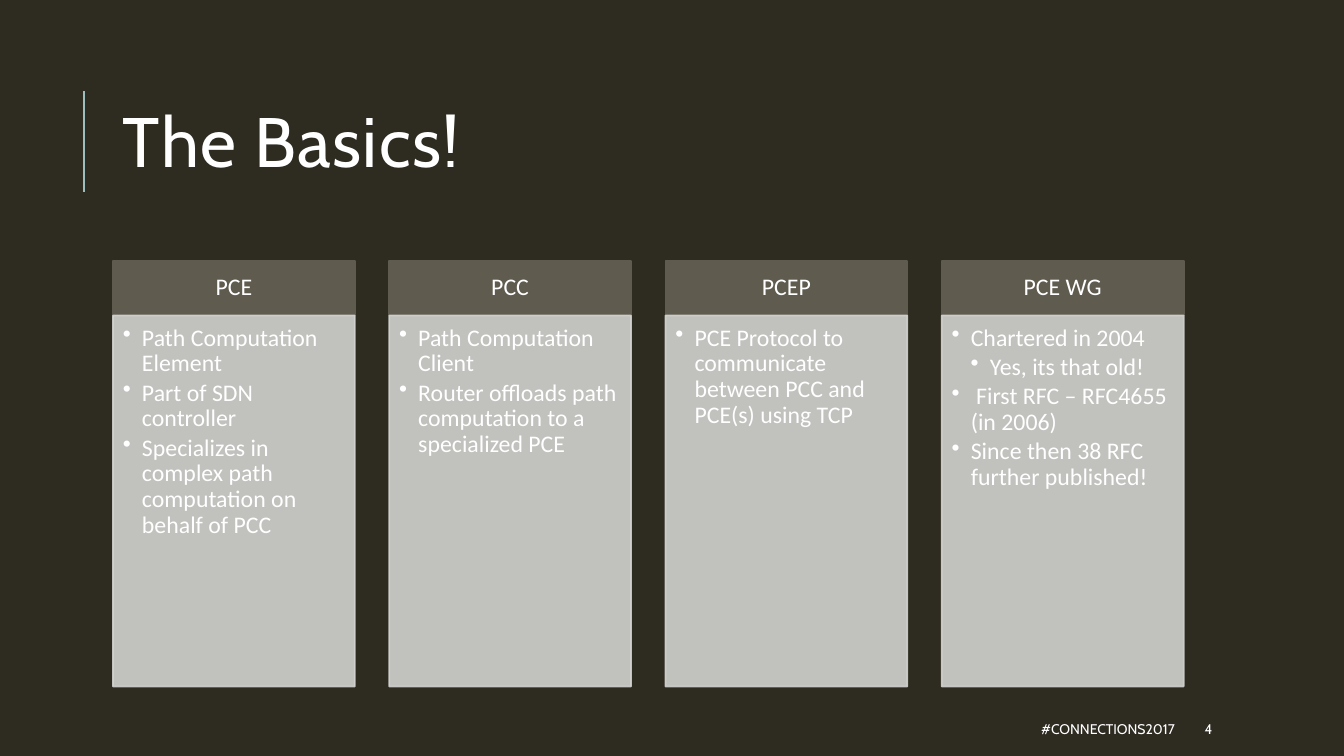
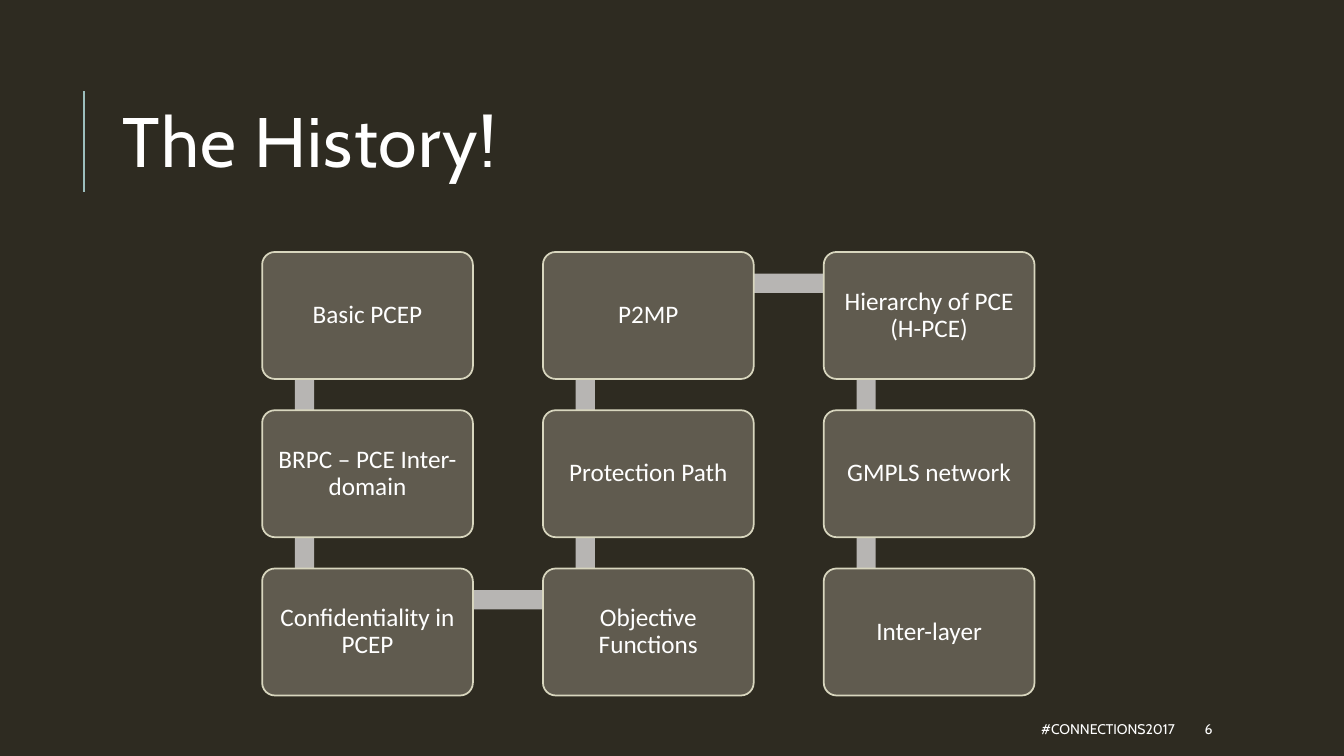
from dataclasses import dataclass
from itertools import pairwise

from lxml.etree import SubElement
from pptx import Presentation
from pptx.dml.color import RGBColor
from pptx.enum.shapes import MSO_CONNECTOR, MSO_SHAPE as Shape
from pptx.enum.text import MSO_ANCHOR as Anchor, PP_ALIGN as Align
from pptx.oxml.ns import qn
from pptx.util import Inches, Pt


@dataclass(frozen=True)
class Theme:
    background: str = "2E2B21"
    accent: str = "9CBEBD"
    text: str = "FFFFFF"
    box: str = "605B4F"
    box_edge: str = "D8D6BE"
    panel: str = "D2D2D0"
    link: str = "B7B5B3"
    heading_font: str = "Cabin"
    body_font: str = "Calibri"
    title_size: float = 50
    column_size: float = 17
    stage_size: float = 18
    footer_size: float = 10
    edge_width: float = 1.25


THEME = Theme()

# Content
FOOTER = "#CONNECTIONS2017"

BASICS = {"title": "The Basics!", "number": 4}
# Column heading, then (indent level, bullet)
COLUMNS = [
    ("PCE", [(1, "Path Computation Element"),
             (1, "Part of SDN controller"),
             (1, "Specializes in complex path computation on behalf of PCC")]),
    ("PCC", [(1, "Path Computation Client"),
             (1, "Router offloads path computation to a specialized PCE")]),
    ("PCEP", [(1, "PCE Protocol to communicate between PCC and PCE(s) using TCP")]),
    ("PCE WG", [(1, "Chartered in 2004"),
                (2, "Yes, its that old!"),
                (1, " First RFC – RFC4655 (in 2006)"),
                (1, "Since then 38 RFC further published!")]),
]

HISTORY = {"title": "The History!", "number": 6}
# In order of time: down the first column, up the second, down the third
STAGES = ["Basic PCEP", "BRPC – PCE Inter-domain", "Confidentiality in PCEP",
          "Objective Functions", "Protection Path", "P2MP",
          "Hierarchy of PCE (H-PCE)", "GMPLS network", "Inter-layer"]


# Drawing helpers
def rgb(value):
    return RGBColor.from_string(value)


def set_opacity(shape, percent):
    for color in shape.element.spPr.iter(qn("a:srgbClr")):
        SubElement(color, qn("a:alpha"), val=str(percent * 1000))


def add_bullet(paragraph, level):
    paragraph.level = level
    props = paragraph._p.get_or_add_pPr()
    props.set("marL", str(Inches(0.19 * level)))
    props.set("indent", str(Inches(-0.19)))
    SubElement(props, qn("a:buChar"), char="•")


def write(shape, content, *, size, font=THEME.body_font, align=Align.LEFT,
          anchor=Anchor.MIDDLE, insets=(0.1, 0.05, 0.1, 0.05),
          line_spacing=0.9, space_after=0, tracking=0):
    """Fill a shape with a string, or with (level, text) bullets."""
    frame = shape.text_frame
    frame.word_wrap = True
    frame.vertical_anchor = anchor
    (frame.margin_left, frame.margin_top,
     frame.margin_right, frame.margin_bottom) = map(Inches, insets)
    items = [(0, content)] if isinstance(content, str) else content
    for index, (level, words) in enumerate(items):
        paragraph = frame.add_paragraph() if index else frame.paragraphs[0]
        if level:
            add_bullet(paragraph, level)
        paragraph.alignment = align
        paragraph.line_spacing = line_spacing
        paragraph.space_after = Pt(space_after)
        run = paragraph.add_run()
        run.text = words
        run.font.size = Pt(size)
        run.font.name = font
        run.font.color.rgb = rgb(THEME.text)
        if tracking:
            run._r.get_or_add_rPr().set("spc", str(tracking * 100))


def add_text(slide, content, area, **style):
    write(slide.shapes.add_textbox(*map(Inches, area)), content, **style)


def add_block(slide, area, fill, edge=None, kind=Shape.RECTANGLE):
    block = slide.shapes.add_shape(kind, *map(Inches, area))
    block.shadow.inherit = False
    block.fill.solid()
    block.fill.fore_color.rgb = rgb(fill)
    if edge:
        block.line.color.rgb = rgb(edge)
        block.line.width = Pt(THEME.edge_width)
    else:
        block.line.fill.background()
    return block


def add_base_slide(deck, title, number):
    """Background, title with its rule, and footer."""
    slide = deck.slides.add_slide(deck.slide_layouts[6])
    slide.background.fill.solid()
    slide.background.fill.fore_color.rgb = rgb(THEME.background)
    rule = slide.shapes.add_connector(
        MSO_CONNECTOR.STRAIGHT, *map(Inches, (0.83, 1.9, 0.83, 0.9)))
    rule.line.color.rgb = rgb(THEME.accent)
    rule.line.width = Pt(1.5)
    SubElement(rule.element.spPr, qn("a:effectLst"))
    add_text(slide, title, (1.12, 0.64, 10.63, 1.64), size=THEME.title_size,
             font=THEME.heading_font, line_spacing=0.8, tracking=1)
    footer = dict(size=THEME.footer_size, font=THEME.heading_font, line_spacing=1)
    add_text(slide, FOOTER, (5.3, 7.08, 6.45, 0.3), align=Align.RIGHT, **footer)
    add_text(slide, str(number), (11.85, 7.08, 1.06, 0.3), **footer)
    return slide


# Four columns, each a heading over a panel of bullets
def build_basics(deck):
    slide = add_base_slide(deck, **BASICS)
    left, top, width, pitch = 1.12, 2.59, 2.4, 2.74
    heading_height, panel_height = 0.54, 3.68
    for index, (heading, bullets) in enumerate(COLUMNS):
        x = left + index * pitch
        header = add_block(slide, (x, top, width, heading_height),
                           THEME.box, THEME.box)
        write(header, heading, size=THEME.column_size, align=Align.CENTER,
              insets=(0.13, 0.08, 0.13, 0.08))
        panel = add_block(slide, (x, top + heading_height, width, panel_height),
                          THEME.panel, THEME.panel)
        set_opacity(panel, 90)
        write(panel, bullets, size=THEME.column_size, anchor=Anchor.TOP,
              insets=(0.1, 0.1, 0.13, 0.15), space_after=2.55)


# Stages in a winding grid, joined by bars
def build_history(deck):
    slide = add_base_slide(deck, **HISTORY)
    left, top, width, height = 2.6, 2.5, 2.09, 1.26
    pitch_x, pitch_y, rows = 2.785, 1.57, 3
    inset_x, inset_y, thickness = 0.42, 0.31, 0.19

    corners = []
    for index in range(len(STAGES)):
        column, step = divmod(index, rows)
        row = rows - 1 - step if column % 2 else step
        corners.append((left + column * pitch_x, top + row * pitch_y))

    for (x1, y1), (x2, y2) in pairwise(corners):
        add_block(slide, (min(x1, x2) + inset_x - thickness / 2,
                          min(y1, y2) + inset_y - thickness / 2,
                          abs(x2 - x1) + thickness, abs(y2 - y1) + thickness),
                  THEME.link)

    for stage, (x, y) in zip(STAGES, corners):
        box = add_block(slide, (x, y, width, height), THEME.box,
                        THEME.box_edge, Shape.ROUNDED_RECTANGLE)
        box.adjustments[0] = 0.1
        write(box, stage, size=THEME.stage_size, align=Align.CENTER,
              insets=(0.07, 0.07, 0.07, 0.07))


def main():
    deck = Presentation()
    deck.slide_width, deck.slide_height = Inches(13.33), Inches(7.5)
    build_basics(deck)
    build_history(deck)
    deck.save("out.pptx")


if __name__ == "__main__":
    main()
